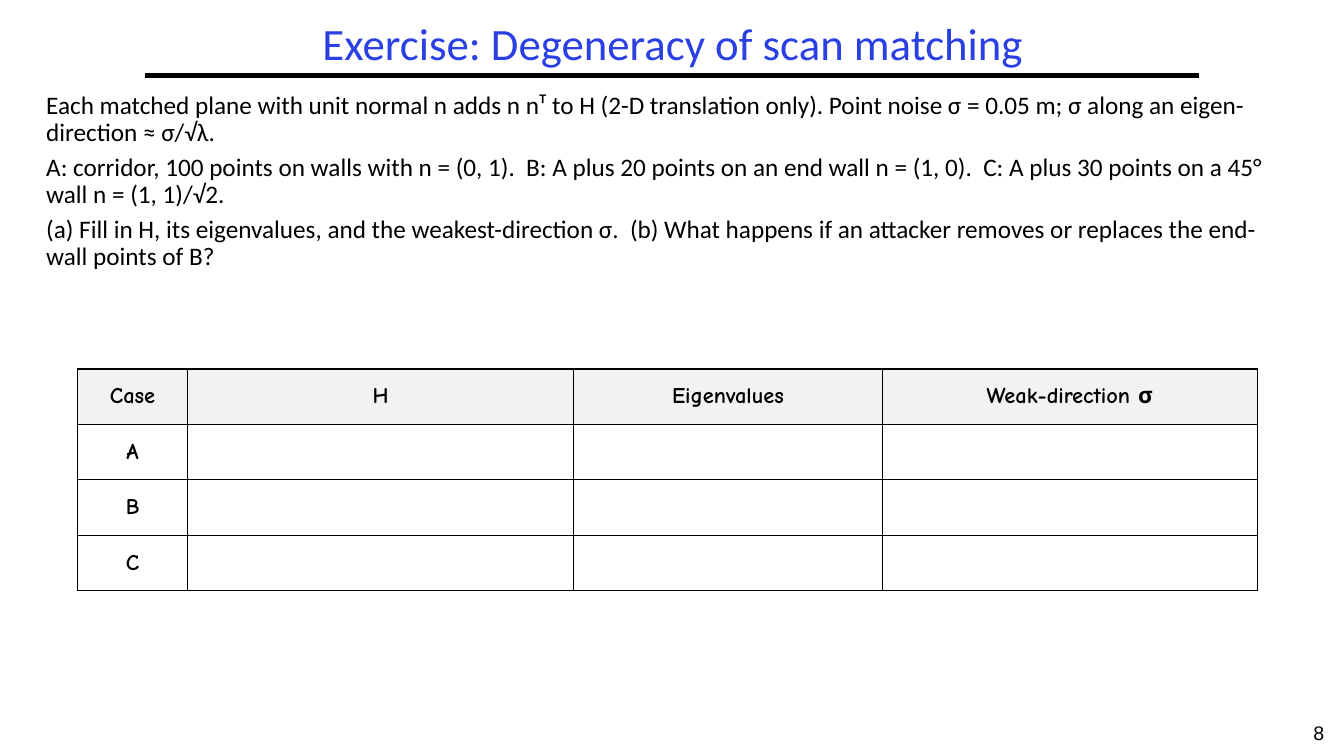
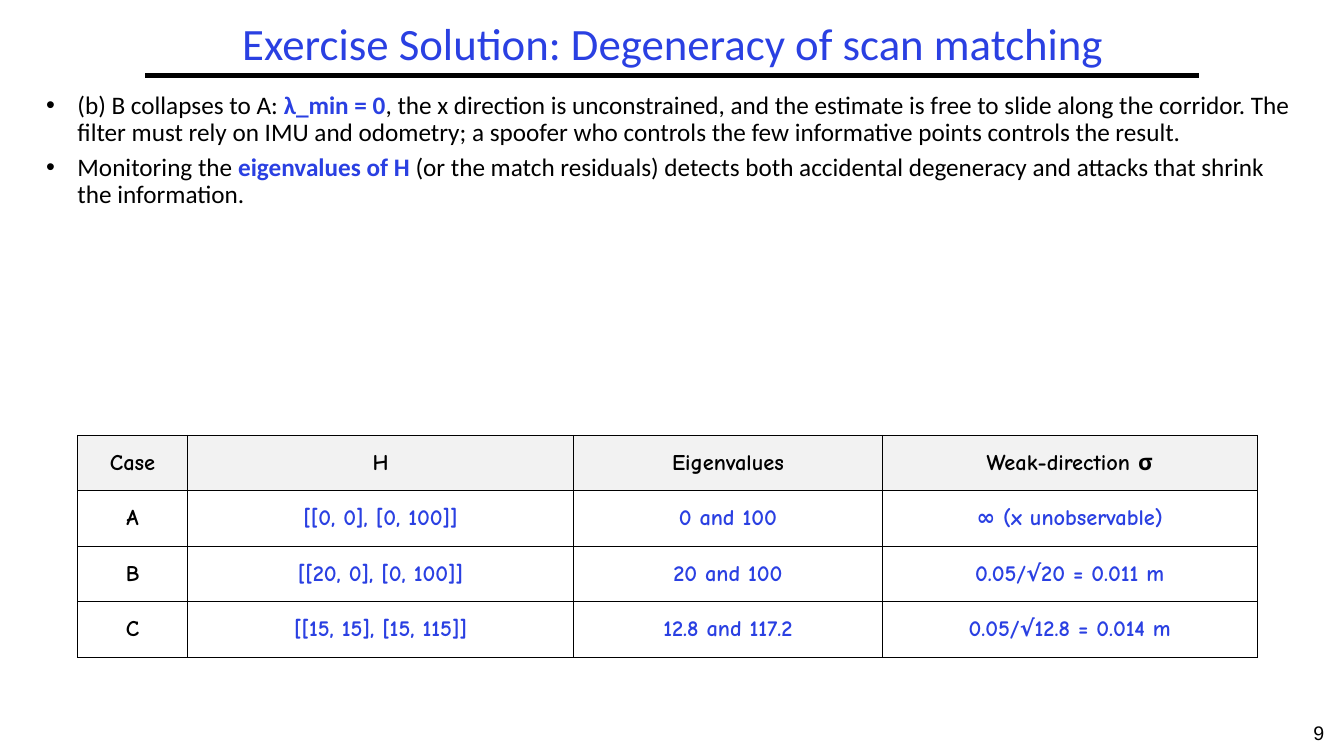
from lxml.etree import SubElement
from pptx import Presentation
from pptx.dml.color import RGBColor
from pptx.enum.shapes import MSO_CONNECTOR as Link
from pptx.enum.text import MSO_ANCHOR as Anchor, MSO_AUTO_SIZE as Fit, PP_ALIGN as Align
from pptx.oxml.ns import qn
from pptx.util import Inches, Pt

BLACK = RGBColor(0x00, 0x00, 0x00)
BLUE = RGBColor(0x2A, 0x40, 0xE2)
GREY = RGBColor(0xF2, 0xF2, 0xF2)

HEAD = ["Case", "H", "Eigenvalues", "Weak-direction σ"]
COLS = [1.09, 3.83, 3.06, 3.72]
ROW = 0.55

SLIDES = [
    {
        "page": "8",
        "title": "Exercise: Degeneracy of scan matching",
        "bullet": False,
        "body": [
            [("Each matched plane with unit normal n adds n nᵀ to H (2-D translation only). "
              "Point noise σ = 0.05 m; σ along an eigen-direction ≈ σ/√λ.", False)],
            [("A: corridor, 100 points on walls with n = (0, 1).  B: A plus 20 points on an "
              "end wall n = (1, 0).  C: A plus 30 points on a 45° wall n = (1, 1)/√2.", False)],
            [("(a) Fill in H, its eigenvalues, and the weakest-direction σ.  (b) What happens "
              "if an attacker removes or replaces the end-wall points of B?", False)],
        ],
        "high": 2.73,
        "top": 3.66,
        "rows": [["A", "", "", ""], ["B", "", "", ""], ["C", "", "", ""]],
    },
    {
        "page": "9",
        "title": "Exercise Solution: Degeneracy of scan matching",
        "bullet": True,
        "body": [
            [("(b) B collapses to A: ", False), ("λ_min = 0", True),
             (", the x direction is unconstrained, and the estimate is free to slide along the "
              "corridor. The filter must rely on IMU and odometry; a spoofer who controls the "
              "few informative points controls the result.", False)],
            [("Monitoring the ", False), ("eigenvalues of H", True),
             (" (or the match residuals) detects both accidental degeneracy and attacks that "
              "shrink the information.", False)],
        ],
        "high": 3.39,
        "top": 4.32,
        "rows": [
            ["A", "[[0, 0], [0, 100]]", "0 and 100", "∞ (x unobservable)"],
            ["B", "[[20, 0], [0, 100]]", "20 and 100", "0.05/√20 = 0.011 m"],
            ["C", "[[15, 15], [15, 115]]", "12.8 and 117.2", "0.05/√12.8 = 0.014 m"],
        ],
    },
]


def add_run(para, text, size, face, color, bold=False):
    run = para.add_run()
    run.text = text
    font = run.font
    font.size = Pt(size)
    font.name = face
    font.bold = bold
    font.color.rgb = color


def set_edges(cell):
    props = cell._tc.get_or_add_tcPr()
    for side in ("lnL", "lnR", "lnT", "lnB"):
        edge = SubElement(props, qn(f"a:{side}"), w=str(Pt(1)))
        fill = SubElement(edge, qn("a:solidFill"))
        SubElement(fill, qn("a:srgbClr"), val=str(BLACK))


prs = Presentation()
prs.slide_width = Inches(13.33)
prs.slide_height = Inches(7.5)

for data in SLIDES:
    slide = prs.slides.add_slide(prs.slide_layouts[5])
    shapes = slide.shapes

    rule = shapes.add_connector(
        Link.STRAIGHT, Inches(1.44), Inches(0.75), Inches(11.89), Inches(0.75))
    rule.line.color.rgb = BLACK
    rule.line.width = Pt(3)
    SubElement(rule._element.spPr, qn("a:effectLst"))

    page = shapes.add_textbox(Inches(12.83), Inches(7.1), Inches(0.5), Inches(0.4))
    page.text_frame.word_wrap = True
    para = page.text_frame.paragraphs[0]
    para.alignment = Align.CENTER
    add_run(para, data["page"], 14, "Arial", BLACK)

    title = shapes.title
    title.left, title.top = Inches(1.44), Inches(0.17)
    title.width, title.height = Inches(10.47), Inches(0.58)
    frame = title.text_frame
    frame.auto_size = Fit.NONE
    frame.vertical_anchor = Anchor.MIDDLE
    para = frame.paragraphs[0]
    para.alignment = Align.CENTER
    para.line_spacing = 0.9
    add_run(para, data["title"], 32, "Calibri", BLUE)

    body = shapes.add_textbox(Inches(0.36), Inches(0.87), Inches(12.58), Inches(data["high"]))
    frame = body.text_frame
    frame.word_wrap = True
    for i, parts in enumerate(data["body"]):
        para = frame.add_paragraph() if i else frame.paragraphs[0]
        if data["bullet"]:
            props = para._p.get_or_add_pPr()
            props.set("marL", str(Inches(0.31)))
            props.set("indent", str(-Inches(0.31)))
            SubElement(props, qn("a:buFont"), typeface="Arial")
            SubElement(props, qn("a:buChar"), char="•")
        para.line_spacing = 0.9
        para.space_before = Pt(5.4 if i else 0)
        for text, strong in parts:
            add_run(para, text, 18, "Calibri", BLUE if strong else BLACK, strong)

    rows = [HEAD] + data["rows"]
    table = shapes.add_table(
        len(rows), len(COLS), Inches(0.77), Inches(data["top"]),
        Inches(sum(COLS)), Inches(ROW * len(rows))).table
    table.horz_banding = False
    for col, wide in zip(table.columns, COLS):
        col.width = Inches(wide)
    for r, row in enumerate(rows):
        table.rows[r].height = Inches(ROW)
        for c, text in enumerate(row):
            cell = table.cell(r, c)
            set_edges(cell)
            if r == 0:
                cell.fill.solid()
                cell.fill.fore_color.rgb = GREY
            else:
                cell.fill.background()
            cell.vertical_anchor = Anchor.MIDDLE
            cell.margin_left = cell.margin_right = Inches(0.07)
            cell.margin_top = cell.margin_bottom = Inches(0.03)
            para = cell.text_frame.paragraphs[0]
            para.alignment = Align.CENTER
            if text:
                color = BLUE if r and c else BLACK
                add_run(para, text, 16, "Comic Neue", color, True)

prs.save("out.pptx")
